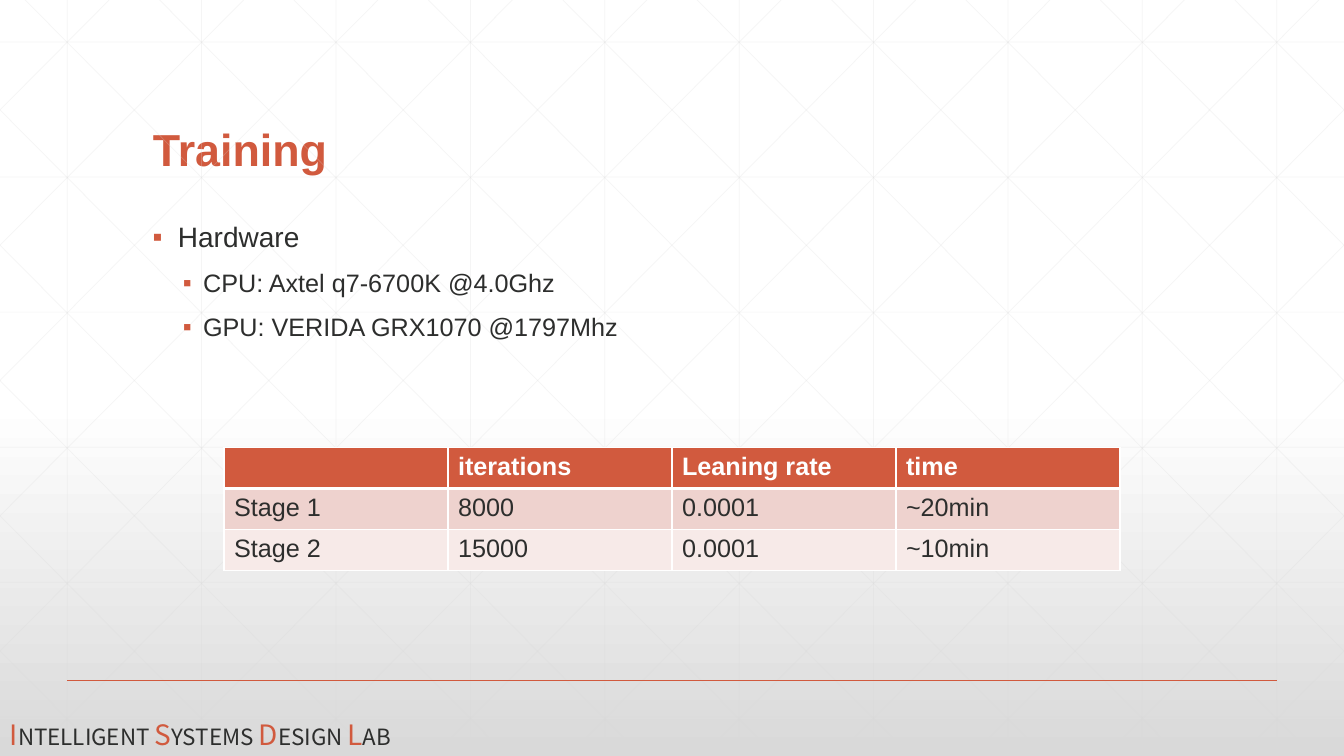
from dataclasses import dataclass

from lxml import etree
from pptx import Presentation
from pptx.dml.color import RGBColor
from pptx.enum.shapes import MSO_CONNECTOR
from pptx.enum.text import MSO_ANCHOR, MSO_AUTO_SIZE, PP_ALIGN
from pptx.oxml.ns import qn
from pptx.util import Emu, Inches, Pt

STRAIGHT = MSO_CONNECTOR.STRAIGHT
BOTTOM = MSO_ANCHOR.BOTTOM
LEFT = PP_ALIGN.LEFT
NO_AUTOFIT = MSO_AUTO_SIZE.NONE
TITLE_ONLY = 5
WIDTH, HEIGHT = Inches(13.333), Inches(7.5)
COLUMNS, ROWS = 160, 90
LATTICE_STEP = 16
DIAGONAL_RUN = 89.4


@dataclass(frozen=True)
class Theme:
    accent: str = "D15A3E"
    ink: str = "2D2E2D"
    paper: str = "FFFFFF"
    lattice: str = "D9D9D9"
    bands: tuple = ("EED2CE", "F7EAE8")
    font: str = "Arial"
    lab_font: str = "Noto Sans CJK SC"
    title: int = 32
    item: int = 20
    detail: int = 18
    initial: int = 20
    small_cap: int = 16


@dataclass(frozen=True)
class Style:
    size: int
    color: str
    font: str
    bold: bool = False


@dataclass(frozen=True)
class Bullet:
    text: str
    size: int
    margin: float
    hanging: float
    before: int
    level: int = 0


THEME = Theme()
HARDWARE = (
    Bullet("Hardware", THEME.item, 0.25, 0.25, 18),
    Bullet("CPU: Axtel q7-6700K @4.0Ghz", THEME.detail, 0.5, 0.2, 12, 1),
    Bullet("GPU: VERIDA GRX1070 @1797Mhz", THEME.detail, 0.5, 0.2, 12, 1),
)
STAGES = (
    ("", "iterations", "Leaning rate", "time"),
    ("Stage 1", "8000", "0.0001", "~20min"),
    ("Stage 2", "15000", "0.0001", "~10min"),
)
LAB_WORDS = ("INTELLIGENT ", "SYSTEMS ", "DESIGN ", "LAB")


def col(count: float) -> Emu:
    return Emu(round(WIDTH * count / COLUMNS))


def row(count: float) -> Emu:
    return Emu(round(HEIGHT * count / ROWS))


def rgb(color: str) -> RGBColor:
    return RGBColor.from_string(color)


def add_run(paragraph, text: str, style: Style) -> None:
    run = paragraph.add_run()
    run.text = text
    run.font.size = Pt(style.size)
    run.font.name = style.font
    run.font.bold = style.bold
    run.font.color.rgb = rgb(style.color)


def set_alpha(element, percent: int) -> None:
    color = list(element.iter(qn("a:srgbClr")))[-1]
    etree.SubElement(color, qn("a:alpha"), val=str(percent * 1000))


def add_line(slide, x1: float, y1: float, x2: float, y2: float,
             color: str, weight: float, alpha: int = 100) -> None:
    line = slide.shapes.add_connector(STRAIGHT, col(x1), row(y1), col(x2), row(y2))
    line.line.color.rgb = rgb(color)
    line.line.width = Pt(weight)
    if alpha < 100:
        set_alpha(line._element, alpha)
    etree.SubElement(line._element.spPr, qn("a:effectLst"))


def paint_background(slide) -> None:
    fill = slide.background.fill
    fill.gradient()
    fill.gradient_angle = 270
    stops = ((0.53, THEME.paper), (1, THEME.lattice))
    for stop, (position, color) in zip(fill.gradient_stops, stops):
        stop.position = position
        stop.color.rgb = rgb(color)
    set_alpha(slide._element, 62)


def draw_lattice(slide) -> None:
    segments = []
    for k in range(10):
        x = 8 + LATTICE_STEP * k
        segments.append((x, 0, x, ROWS))
    for k in range(6):
        y = 5 + 16.08 * k
        segments.append((0, y, COLUMNS, y))
    for k in range(-5, 10):
        start = 3 + LATTICE_STEP * k
        enter = max(0, -start / DIAGONAL_RUN)
        leave = min(1, (COLUMNS - start) / DIAGONAL_RUN)
        x1, x2 = start + DIAGONAL_RUN * enter, start + DIAGONAL_RUN * leave
        y1, y2 = ROWS * enter, ROWS * leave
        segments.append((x1, y1, x2, y2))
        segments.append((COLUMNS - x1, y1, COLUMNS - x2, y2))
    for segment in segments:
        add_line(slide, *segment, THEME.lattice, 0.5, 25)


def write_lab_name(slide) -> None:
    lab = slide.shapes.add_textbox(0, row(84.8), col(63), row(5.25))
    lab.text_frame.word_wrap = True
    paragraph = lab.text_frame.paragraphs[0]
    for word in LAB_WORDS:
        add_run(paragraph, word[0], Style(THEME.initial, THEME.accent, THEME.lab_font))
        add_run(paragraph, word[1:], Style(THEME.small_cap, THEME.ink, THEME.lab_font))


def write_title(slide) -> None:
    title = slide.shapes.title
    title.left, title.top = col(17), row(6.6)
    title.width, title.height = col(126), row(15)
    frame = title.text_frame
    frame.auto_size = NO_AUTOFIT
    frame.vertical_anchor = BOTTOM
    paragraph = frame.paragraphs[0]
    paragraph.alignment = LEFT
    paragraph.line_spacing = 0.9
    add_run(paragraph, "Training", Style(THEME.title, THEME.accent, THEME.font, True))


def write_hardware(slide) -> None:
    frame = slide.shapes.add_textbox(col(17), row(26), col(126), row(50)).text_frame
    frame.word_wrap = True
    for index, bullet in enumerate(HARDWARE):
        paragraph = frame.add_paragraph() if index else frame.paragraphs[0]
        paragraph.level = bullet.level
        paragraph.line_spacing = 0.9
        paragraph.space_before = Pt(bullet.before)
        properties = paragraph._p.get_or_add_pPr()
        properties.set("marL", str(Inches(bullet.margin)))
        properties.set("indent", str(-Inches(bullet.hanging)))
        color = etree.SubElement(properties, qn("a:buClr"))
        etree.SubElement(color, qn("a:srgbClr"), val=THEME.accent)
        etree.SubElement(properties, qn("a:buFont"), typeface=THEME.font)
        etree.SubElement(properties, qn("a:buChar"), char="▪")
        add_run(paragraph, bullet.text, Style(bullet.size, THEME.ink, THEME.font))


def add_border(cell, side: str, weight: int) -> None:
    properties = cell._tc.get_or_add_tcPr()
    border = etree.SubElement(properties, qn(f"a:ln{side}"), w=str(Pt(weight)))
    fill = etree.SubElement(border, qn("a:solidFill"))
    etree.SubElement(fill, qn("a:srgbClr"), val=THEME.paper)


def add_stage_table(slide) -> None:
    column_width, row_height = col(COLUMNS / 6), row(4.87)
    stages = slide.shapes.add_table(
        len(STAGES), len(STAGES[0]), column_width, row(53.3),
        column_width * len(STAGES[0]), row_height * len(STAGES)).table
    fills = (THEME.accent, *THEME.bands)
    for r, values in enumerate(STAGES):
        header = r == 0
        style = Style(THEME.detail, THEME.paper if header else THEME.ink, THEME.font, header)
        weights = {"L": 1, "R": 1, "T": 3 if r == 1 else 1, "B": 3 if header else 1}
        for c, value in enumerate(values):
            cell = stages.cell(r, c)
            for side, weight in weights.items():
                add_border(cell, side, weight)
            cell.fill.solid()
            cell.fill.fore_color.rgb = rgb(fills[r])
            if value:
                add_run(cell.text_frame.paragraphs[0], value, style)


def main() -> None:
    deck = Presentation()
    deck.slide_width, deck.slide_height = WIDTH, HEIGHT
    slide = deck.slides.add_slide(deck.slide_layouts[TITLE_ONLY])
    paint_background(slide)
    draw_lattice(slide)
    add_line(slide, 8, 81, 152, 81, THEME.accent, 1)
    write_lab_name(slide)
    write_title(slide)
    write_hardware(slide)
    add_stage_table(slide)
    deck.save("out.pptx")


if __name__ == "__main__":
    main()
